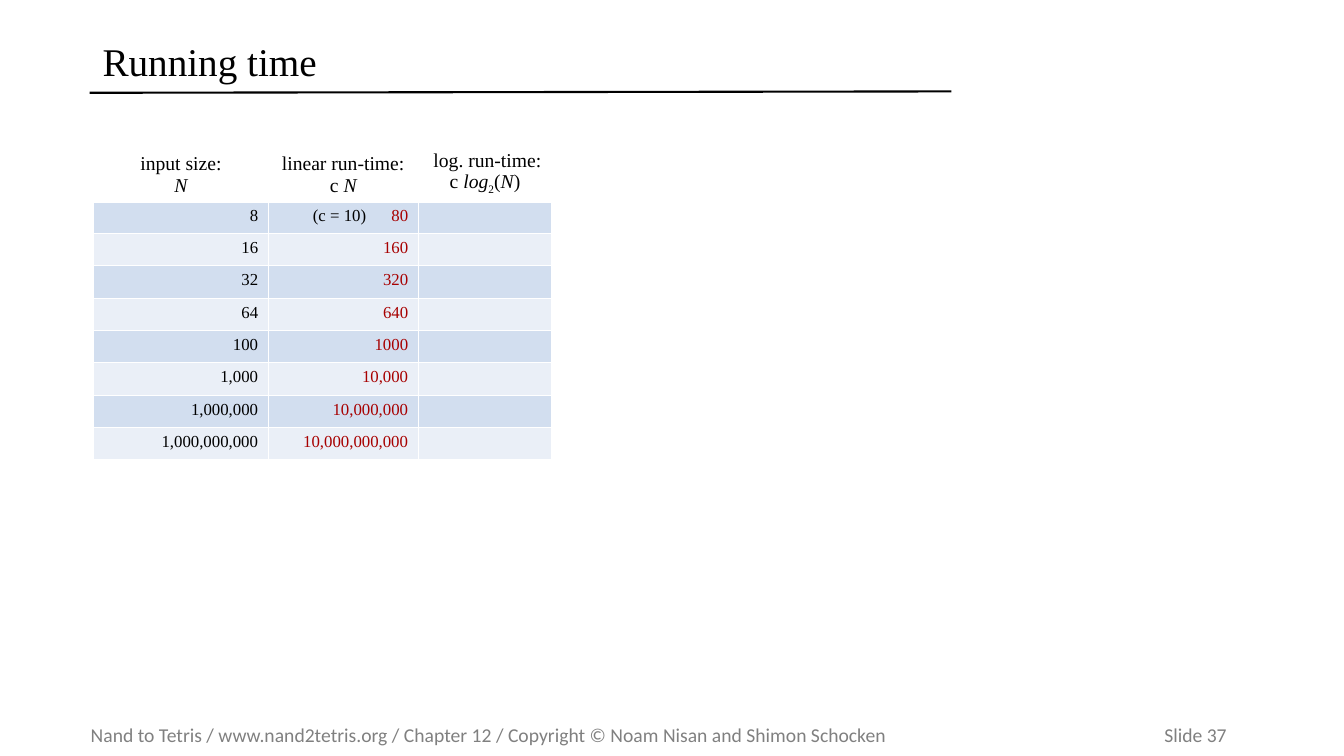
from lxml import etree
from pptx import Presentation
from pptx.dml.color import RGBColor
from pptx.enum import shapes, text
from pptx.oxml import ns
from pptx.util import Pt

COLORS = {
    "ink": "000000",
    "footer": "808080",
    "runtime": "A70000",
    "border": "FFFFFF",
    "bands": ("D2DEEF", "EAEFF7"),
}
SERIF = "Times New Roman"
SANS = "Calibri"
COLUMN_WIDTHS = (124.6, 107.2, 95.4)
HEADER_HEIGHT, ROW_HEIGHT = 56, 23.1

# Each header is a list of paragraphs; each paragraph is a list of (words, style).
HEADERS = [
    [[("input size:", "")], [("N", "italic")]],
    [[("linear run-time:", "")], [("c ", ""), ("N", "italic")]],
    [[(" log. run-time:\vc ", ""), ("log", "italic"), ("2", "subscript"),
      ("(", ""), ("N", "italic"), (")", "")]],
]
RUN_TIMES = [
    ("8", "80"), ("16", "160"), ("32", "320"), ("64", "640"), ("100", "1000"),
    ("1,000", "10,000"), ("1,000,000", "10,000,000"),
    ("1,000,000,000", "10,000,000,000"),
]


def style_run(run, size, color, font=SERIF):
    run.font.size = Pt(size)
    run.font.name = font
    run.font.color.rgb = RGBColor.from_string(COLORS[color])


def add_label(slide, box, words, size, color, font):
    left, top, width, height = box
    frame = slide.shapes.add_textbox(
        Pt(left), Pt(top), Pt(width), Pt(height)).text_frame
    frame.word_wrap = True
    frame.vertical_anchor = text.MSO_ANCHOR.MIDDLE
    frame.text = words
    for run in frame.paragraphs[0].runs:
        style_run(run, size, color, font)
    return frame


def add_footer(slide):
    frame = add_label(
        slide, (64.8, 512.6, 882, 24.5),
        "Nand to Tetris / www.nand2tetris.org / Chapter 12 / "
        "Copyright © Noam Nisan and Shimon Schocken\tSlide 37",
        14, "footer", SANS)
    frame.margin_left = frame.margin_right = 0
    properties = frame.paragraphs[0]._p.get_or_add_pPr()
    tabs = etree.SubElement(properties, ns.qn("a:tabLst"))
    etree.SubElement(tabs, ns.qn("a:tab"), pos=str(Pt(811.5)), algn="r")


def add_title_rule(slide):
    rule = slide.shapes.add_connector(
        shapes.MSO_CONNECTOR.STRAIGHT, Pt(64.1), Pt(66.3), Pt(679.5), Pt(65.3))
    rule.line.width = Pt(1.5)
    rule.line.color.rgb = RGBColor.from_string(COLORS["ink"])
    etree.SubElement(rule._element.spPr, ns.qn("a:effectLst"))


def set_borders(cell, bottom=1):
    properties = cell._tc.get_or_add_tcPr()
    for side, width in (("L", 1), ("R", 1), ("T", 1), ("B", bottom)):
        line = etree.SubElement(
            properties, ns.qn(f"a:ln{side}"), w=str(Pt(width)))
        fill = etree.SubElement(line, ns.qn("a:solidFill"))
        etree.SubElement(fill, ns.qn("a:srgbClr"), val=COLORS["border"])


def fill_header(cell, paragraphs):
    set_borders(cell, bottom=3)
    cell.fill.background()
    cell.vertical_anchor = text.MSO_ANCHOR.BOTTOM
    frame = cell.text_frame
    frame.text = "\n".join(
        "".join(words for words, _ in pieces) for pieces in paragraphs)
    for paragraph, pieces in zip(frame.paragraphs, paragraphs):
        paragraph.clear()
        paragraph.alignment = text.PP_ALIGN.CENTER
        for words, style in pieces:
            for index, part in enumerate(words.split("\v")):
                if index:
                    paragraph.add_line_break()
                run = paragraph.add_run()
                run.text = part
                style_run(run, 14, "ink")
                run.font.italic = style == "italic"
                if style == "subscript":
                    run.font._element.set("baseline", "-25000")


def fill_value(cell, band, pieces):
    """Fill a body cell with right-aligned (words, colour) pieces."""
    set_borders(cell)
    cell.fill.solid()
    cell.fill.fore_color.rgb = RGBColor.from_string(COLORS["bands"][band])
    paragraph = cell.text_frame.paragraphs[0]
    paragraph.alignment = text.PP_ALIGN.RIGHT
    for words, color in pieces:
        run = paragraph.add_run()
        run.text = words
        style_run(run, 12, color)
        if words == " ":
            run.font._element.set("spc", "1500")  # widens the gap by 15 pt
    paragraph._p.get_or_add_endParaRPr().set("sz", "1200")


def add_run_time_table(slide):
    table = slide.shapes.add_table(
        len(RUN_TIMES) + 1, len(HEADERS), Pt(67), Pt(87.8),
        Pt(sum(COLUMN_WIDTHS)),
        Pt(HEADER_HEIGHT + ROW_HEIGHT * len(RUN_TIMES))).table
    table.first_row = table.horz_banding = False
    for column, width in zip(table.columns, COLUMN_WIDTHS):
        column.width = Pt(width)
    for index, row in enumerate(table.rows):
        row.height = Pt(ROW_HEIGHT if index else HEADER_HEIGHT)
    for column, header in enumerate(HEADERS):
        fill_header(table.cell(0, column), header)
    for index, (size, linear) in enumerate(RUN_TIMES):
        constant = [] if index else [("(c = 10)", "ink"), (" ", "ink")]
        values = [[(size, "ink")], constant + [(linear, "runtime")], []]
        for column, pieces in enumerate(values):
            fill_value(table.cell(index + 1, column), index % 2, pieces)


def main():
    deck = Presentation()
    deck.slide_width, deck.slide_height = Pt(960), Pt(540)
    slide = deck.slides.add_slide(deck.slide_layouts[6])
    add_footer(slide)
    add_title_rule(slide)
    title = add_label(
        slide, (66.2, 23, 614.2, 45.4), "Running time", 28, "ink", SERIF)
    title.paragraphs[0].line_spacing = 0.9
    add_run_time_table(slide)
    deck.save("out.pptx")


if __name__ == "__main__":
    main()
